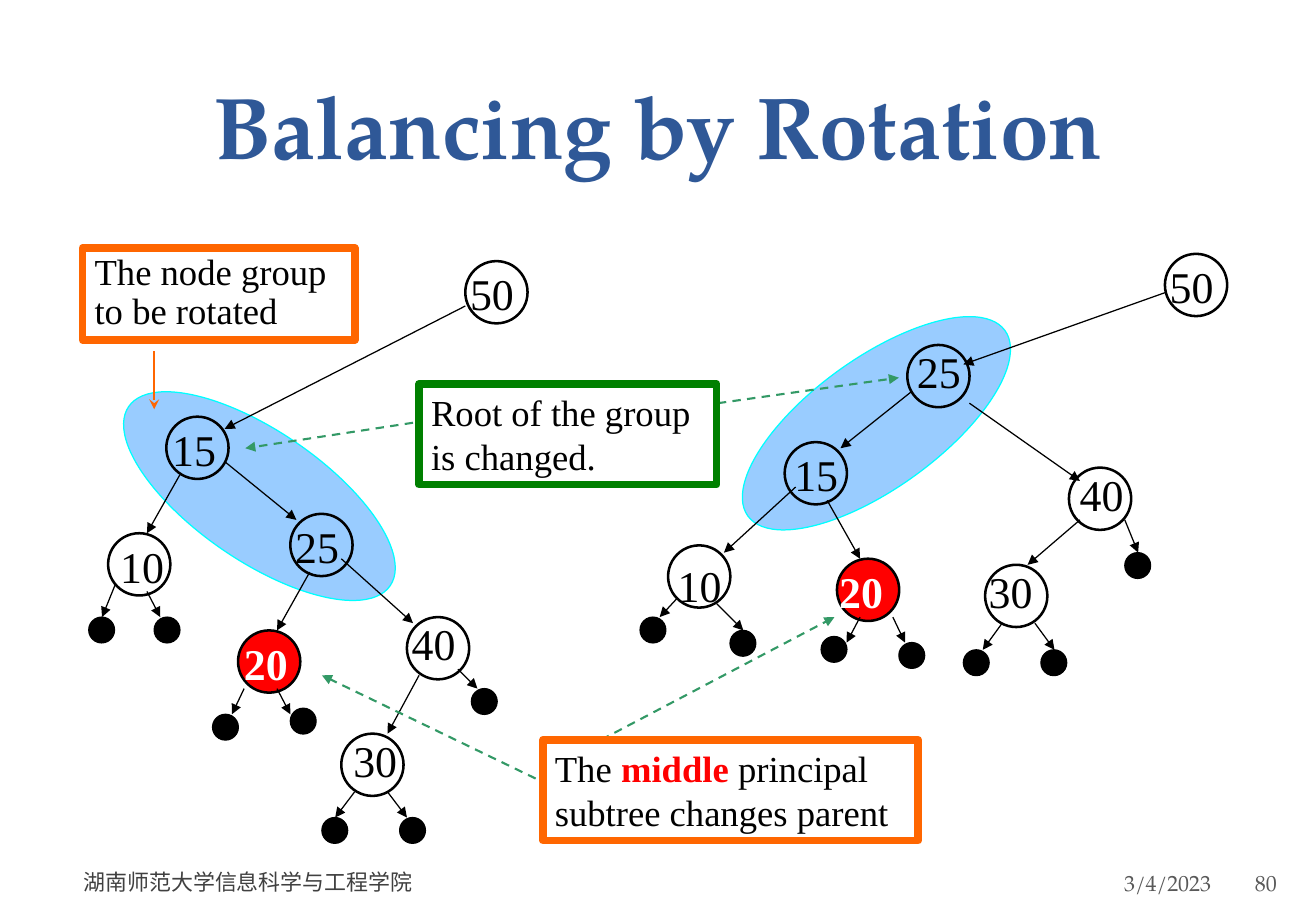
from lxml import etree
from pptx import Presentation
from pptx.dml.color import RGBColor
from pptx.enum.dml import MSO_LINE
from pptx.enum.shapes import MSO_CONNECTOR, MSO_SHAPE
from pptx.enum.text import MSO_ANCHOR, PP_ALIGN
from pptx.oxml.ns import qn
from pptx.util import Pt

OVAL, RECTANGLE = MSO_SHAPE.OVAL, MSO_SHAPE.RECTANGLE
STRAIGHT, DASH = MSO_CONNECTOR.STRAIGHT, MSO_LINE.DASH
TOP, MIDDLE, BOTTOM = MSO_ANCHOR.TOP, MSO_ANCHOR.MIDDLE, MSO_ANCHOR.BOTTOM
LEFT, CENTER, RIGHT = PP_ALIGN.LEFT, PP_ALIGN.CENTER, PP_ALIGN.RIGHT

COLORS = {
    "title": "2F5897", "footer": "404040", "date": "595959",
    "black": "000000", "white": "FFFFFF", "red": "FF0000",
    "group": "99CCFF", "group line": "00FFFF",
    "orange": "FF6600", "green": "008000", "hint": "339966",
}
HEADING_FONT, BODY_FONT = "TeX Gyre Pagella", "Times New Roman"
NODE_SIZE, LEAF_SIZE = 36.9, 15.3
LABEL_SIZE = (54, 38.9)
GROUP_SIZE = (187.9, 77)
MOVED_NODE = "20"

# text, box, size, color, bold, alignment, anchor, left and right inset
HEADINGS = [
    ("Balancing by Rotation", (38.9, 25.9, 702, 82.8), 52, "title", True, CENTER, BOTTOM, (7.2, 7.2)),
    ("3/4/2023", (543.6, 509, 177.8, 28.8), 13, "date", False, RIGHT, MIDDLE, (7.2, 3.6)),
    ("湖南师范大学信息科学与工程学院", (46.1, 508.3, 491, 28.8), 13, "footer", False, LEFT, MIDDLE, (3.6, 7.2)),
    ("80", (741.6, 509, 35.3, 28.8), 13, "date", False, LEFT, MIDDLE, (2.2, 3.6)),
]

# group: left, top, rotation; nodes: label, left, top, label shift x and y
BEFORE = {
    "group": (59.8, 255.6, 34.4),
    "nodes": [
        ("50", 275.8, 154.8, -4.3, 0), ("15", 98.6, 247, -3.6, 0),
        ("10", 64.1, 316.1, 0, 0), ("25", 172.1, 304.6, -4.3, 0),
        ("20", 141.1, 373.7, -3.6, 0), ("40", 241.2, 365.8, -4.3, -3.6),
        ("30", 202.3, 434.9, 0, -3.6),
    ],
    "leaves": [
        (52.6, 365.8), (91.4, 365.8), (279.4, 408.2), (126, 423.4),
        (172.1, 419.8), (236.9, 484.6), (190.8, 484.6),
    ],
    "edges": [
        (275.8, 181.4, 133.2, 254.2), (106.6, 281.5, 87.1, 316.1),
        (133.2, 273.6, 175.7, 308.2), (183.6, 339.1, 164.2, 373.7),
        (202.3, 331.2, 244.8, 369.4), (248.4, 400.3, 229.7, 434.9),
        (68.4, 346.3, 60.5, 365.8), (87.1, 350.6, 95, 365.8),
        (144.7, 408.2, 137.5, 423.4), (164.2, 408.2, 172.1, 423.4),
        (210.2, 469.4, 198.7, 484.6), (229.7, 469.4, 241.2, 484.6),
        (271.4, 396.7, 283, 408.2),
    ],
}
AFTER = {
    "group": (425.5, 212.4, 144.2),
    "nodes": [
        ("50", 690.5, 150.5, -4.3, 0), ("25", 537.8, 204.5, -1.4, -3.6),
        ("15", 465.1, 262.1, -1.4, 0), ("10", 396, 323.3, -1.4, 4.3),
        ("20", 496.1, 331.2, -5.8, 0), ("40", 633.6, 277.2, -0.7, -3.6),
        ("30", 583.9, 334.8, -5, -3.6),
    ],
    "leaves": [
        (379.4, 365.8), (432.7, 373.7), (486.7, 377.3), (532.8, 380.9),
        (666.7, 327.6), (571, 385.2), (617, 385.2),
    ],
    "edges": [
        (690.5, 173.5, 571, 216), (540.7, 231.8, 498.2, 265.7),
        (574.6, 239, 640.1, 285.1), (471.6, 288.7, 429.1, 327.6),
        (490.3, 296.6, 509.8, 331.2), (640.1, 308.2, 609.1, 334.8),
        (666.7, 308.2, 674.6, 327.6), (401.8, 354.2, 391, 365.8),
        (424.8, 357.8, 440.6, 373.7), (509.8, 365.8, 501.8, 380.9),
        (529.2, 365.8, 536.4, 380.9), (594, 369.4, 582.5, 385.2),
        (613.4, 369.4, 625, 385.2),
    ],
}

HINT_ARROWS = [
    (317.5, 461.5, 190.8, 400.3), (356.4, 438.5, 494.6, 365.8),
    (244.8, 250.6, 145.4, 265.7), (425.5, 239, 532.8, 223.9),
]
ROTATED_GROUP_ARROW = (91.4, 208.1, 91.4, 242.6)

# box, border color, line spacing, runs of (text, color, bold)
CALLOUTS = [
    ((49, 146.9, 161.3, 54.7), "orange", 0.9,
     [("The node group to be rotated", "black", False)]),
    ((248.4, 227.5, 176.4, 59.8), "green", 1.0,
     [("Root of the group is changed.", "black", False)]),
    ((321.8, 438.5, 222.5, 59.8), "orange", 1.0,
     [("The ", "black", False), ("middle", "red", True),
      (" principal subtree changes parent", "black", False)]),
]


def color(name):
    return RGBColor.from_string(COLORS[name])


def points(values):
    return [Pt(value) for value in values]


def write(shape, runs, size, font, align=LEFT, anchor=TOP, insets=(7.2, 7.2), spacing=1.0):
    frame = shape.text_frame
    frame.word_wrap = True
    frame.vertical_anchor = anchor
    frame.margin_left, frame.margin_right = points(insets)
    paragraph = frame.paragraphs[0]
    paragraph.alignment = align
    paragraph.line_spacing = spacing
    for text, color_name, bold in runs:
        run = paragraph.add_run()
        run.text = text
        run.font.name, run.font.size, run.font.bold = font, Pt(size), bold
        run.font.color.rgb = color(color_name)


def add_figure(slide, kind, box, fill, line, width):
    shape = slide.shapes.add_shape(kind, *points(box))
    shape.shadow.inherit = False
    if fill:
        shape.fill.solid()
        shape.fill.fore_color.rgb = color(fill)
    else:
        shape.fill.background()
    shape.line.color.rgb = color(line)
    shape.line.width = Pt(width)
    return shape


def add_arrow(slide, ends, line="black", width=0.75, head="triangle", dash=None):
    arrow = slide.shapes.add_connector(STRAIGHT, *points(ends))
    arrow.line.color.rgb = color(line)
    arrow.line.width = Pt(width)
    if dash:
        arrow.line.dash_style = dash
    etree.SubElement(arrow.line._get_or_add_ln(), qn("a:tailEnd"), type=head)
    etree.SubElement(arrow._element.spPr, qn("a:effectLst"))


def add_tree(slide, tree):
    left, top, rotation = tree["group"]
    group = add_figure(slide, OVAL, (left, top, *GROUP_SIZE), "group", "group line", 0.75)
    group.rotation = rotation
    for label, left, top, shift_x, shift_y in tree["nodes"]:
        moved = label == MOVED_NODE
        add_figure(slide, OVAL, (left, top, NODE_SIZE, NODE_SIZE), "red" if moved else None, "black", 1.5)
        label_box = slide.shapes.add_textbox(*points((left + shift_x, top + shift_y, *LABEL_SIZE)))
        write(label_box, [(label, "white" if moved else "black", moved)], 26, BODY_FONT)
    for left, top in tree["leaves"]:
        add_figure(slide, OVAL, (left, top, LEAF_SIZE, LEAF_SIZE), "black", "black", 0.75)
    for ends in tree["edges"]:
        add_arrow(slide, ends)


def main():
    presentation = Presentation()
    presentation.slide_width, presentation.slide_height = Pt(780), Pt(540)
    slide = presentation.slides.add_slide(presentation.slide_layouts[6])
    for text, box, size, color_name, bold, align, anchor, insets in HEADINGS:
        heading = slide.shapes.add_textbox(*points(box))
        write(heading, [(text, color_name, bold)], size, HEADING_FONT, align, anchor, insets)
    for tree in (BEFORE, AFTER):
        add_tree(slide, tree)
    for ends in HINT_ARROWS:
        add_arrow(slide, ends, "hint", 1.25, dash=DASH)
    add_arrow(slide, ROTATED_GROUP_ARROW, "orange", 1.5, "stealth")
    for box, border, spacing, runs in CALLOUTS:
        callout = add_figure(slide, RECTANGLE, box, "white", border, 4.5)
        write(callout, runs, 21.7, BODY_FONT, spacing=spacing)
    presentation.save("out.pptx")


if __name__ == "__main__":
    main()
